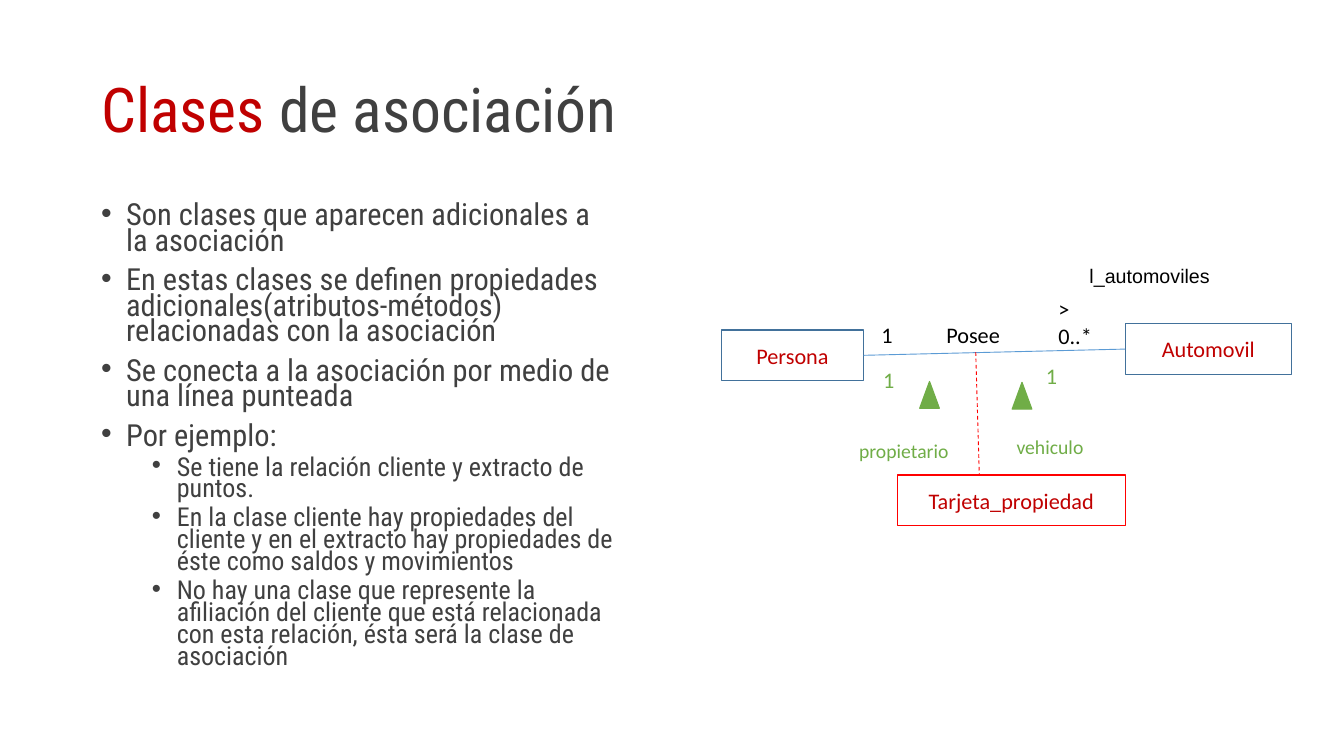
"""Build the slide on association classes with its UML diagram."""
from lxml.etree import SubElement
from pptx import Presentation
from pptx.dml.color import RGBColor
from pptx.enum.dml import MSO_LINE
from pptx.enum.shapes import MSO_CONNECTOR, MSO_SHAPE
from pptx.enum.text import MSO_ANCHOR, PP_ALIGN
from pptx.oxml.ns import qn
from pptx.util import Inches, Pt

CRIMSON = RGBColor(0xC0, 0x00, 0x00)
RED = RGBColor(0xFF, 0x00, 0x00)
GRAY = RGBColor(0x40, 0x40, 0x40)
BLACK = RGBColor(0x00, 0x00, 0x00)
WHITE = RGBColor(0xFF, 0xFF, 0xFF)
GREEN = RGBColor(0x70, 0xAD, 0x47)
NAVY = RGBColor(0x42, 0x71, 0x9B)
BLUE = RGBColor(0x5B, 0x9B, 0xD5)
HEADING_FONT = "Roboto Condensed"


def style(paragraph, size, name, color):
    for run in paragraph.runs:
        run.font.size = Pt(size)
        run.font.name = name
        run.font.color.rgb = color


def add_line(start, end, color):
    line = slide.shapes.add_connector(
        MSO_CONNECTOR.STRAIGHT, *(Inches(v) for v in start + end))
    line.line.color.rgb = color
    line.line.width = Pt(0.75)
    SubElement(line._element.spPr, qn("a:effectLst"))
    return line


prs = Presentation()
prs.slide_width, prs.slide_height = Inches(15.11), Inches(8.5)
slide = prs.slides.add_slide(prs.slide_layouts[6])

title = slide.shapes.add_textbox(
    Inches(1.04), Inches(0.45), Inches(13.03), Inches(1.64)).text_frame
title.word_wrap = True
title.vertical_anchor = MSO_ANCHOR.MIDDLE
heading = title.paragraphs[0]
heading.line_spacing = 0.9
for words in ("Clases", " de asociación"):
    heading.add_run().text = words
style(heading, 49.9, HEADING_FONT, GRAY)
heading.runs[0].font.color.rgb = CRIMSON

points = [
    (0, "Son clases que aparecen adicionales a la asociación"),
    (0, "En estas clases se definen propiedades adicionales(atributos-métodos) "
        "relacionadas con la asociación"),
    (0, "Se conecta a la asociación por medio de una línea punteada"),
    (0, "Por ejemplo:"),
    (1, "Se tiene la relación cliente y extracto de puntos."),
    (1, "En la clase cliente hay propiedades del cliente y en el extracto hay "
        "propiedades de éste como saldos y movimientos"),
    (1, "No hay una clase que represente la afiliación del cliente que está "
        "relacionada con esta relación, ésta será la clase de asociación"),
]
levels = [(0.28, 24.6, 11.3), (0.85, 21.1, 5.7)]
body = slide.shapes.add_textbox(
    Inches(1.04), Inches(2.26), Inches(5.96), Inches(5.39)).text_frame
body.word_wrap = True
for i, (level, words) in enumerate(points):
    indent, size, space = levels[level]
    point = body.add_paragraph() if i else body.paragraphs[0]
    point.text = words
    point.level = level
    props = point._p.get_or_add_pPr()
    props.set("marL", str(Inches(indent)))
    props.set("indent", str(-Inches(0.28)))
    SubElement(props, qn("a:buFont"), typeface="Arial")
    SubElement(props, qn("a:buChar"), char="•")
    point.line_spacing = 0.7
    if i:
        point.space_before = Pt(space)
    style(point, size, HEADING_FONT, GRAY)

classes = {}
for name, left, top, width, border in [
    ("Persona", 8.11, 3.71, 1.6, NAVY),
    ("Automovil", 12.65, 3.64, 1.87, NAVY),
    ("Tarjeta_propiedad", 10.09, 5.34, 2.56, RED),
]:
    box = slide.shapes.add_shape(
        MSO_SHAPE.RECTANGLE, Inches(left), Inches(top), Inches(width), Inches(0.57))
    box.shadow.inherit = False
    box.fill.solid()
    box.fill.fore_color.rgb = WHITE
    box.line.color.rgb = border
    box.line.width = Pt(1)
    box.text_frame.text = name
    box.text_frame.vertical_anchor = MSO_ANCHOR.MIDDLE
    box.text_frame.paragraphs[0].alignment = PP_ALIGN.CENTER
    style(box.text_frame.paragraphs[0], 18, "Calibri", CRIMSON)
    classes[name] = box

association = add_line((9.71, 4), (12.65, 3.93), BLUE)
association.begin_connect(classes["Persona"], 3)
association.end_connect(classes["Automovil"], 1)
class_link = add_line((10.97, 3.96), (11.01, 5.34), RED)
class_link.line.dash_style = MSO_LINE.DASH

for left, top in [(10.34, 4.29), (11.38, 4.3)]:
    role_arrow = slide.shapes.add_shape(
        MSO_SHAPE.ISOSCELES_TRIANGLE, Inches(left), Inches(top), Inches(0.22), Inches(0.3))
    role_arrow.shadow.inherit = False
    role_arrow.fill.solid()
    role_arrow.fill.fore_color.rgb = GREEN
    role_arrow.line.color.rgb = GREEN
    role_arrow.line.width = Pt(1)

for words, left, top, width, height, size, font, color, wrap in [
    ("Posee", 10.54, 3.56, 0.81, 0.4, 18, "Calibri", BLACK, True),
    (">\n0..*", 11.8, 3.27, 0.75, 0.41, 18, "Calibri", BLACK, True),
    ("1", 9.81, 3.56, 0.51, 0.4, 18, "Calibri", BLACK, True),
    ("l_automoviles", 12.15, 2.92, 1.75, 0.43, 15.9, "Arial", BLACK, True),
    ("propietario", 9.56, 4.88, 1.21, 0.37, 15.9, "Calibri", GREEN, False),
    ("vehiculo", 11.33, 4.84, 0.96, 0.37, 15.9, "Calibri", GREEN, False),
    ("1", 9.83, 4.07, 0.51, 0.4, 18, "Calibri", GREEN, True),
    ("1", 11.66, 4.02, 0.51, 0.4, 18, "Calibri", GREEN, True),
]:
    label = slide.shapes.add_textbox(
        Inches(left), Inches(top), Inches(width), Inches(height)).text_frame
    label.word_wrap = wrap
    label.text = words
    for paragraph in label.paragraphs:
        style(paragraph, size, font, color)

prs.save("out.pptx")
